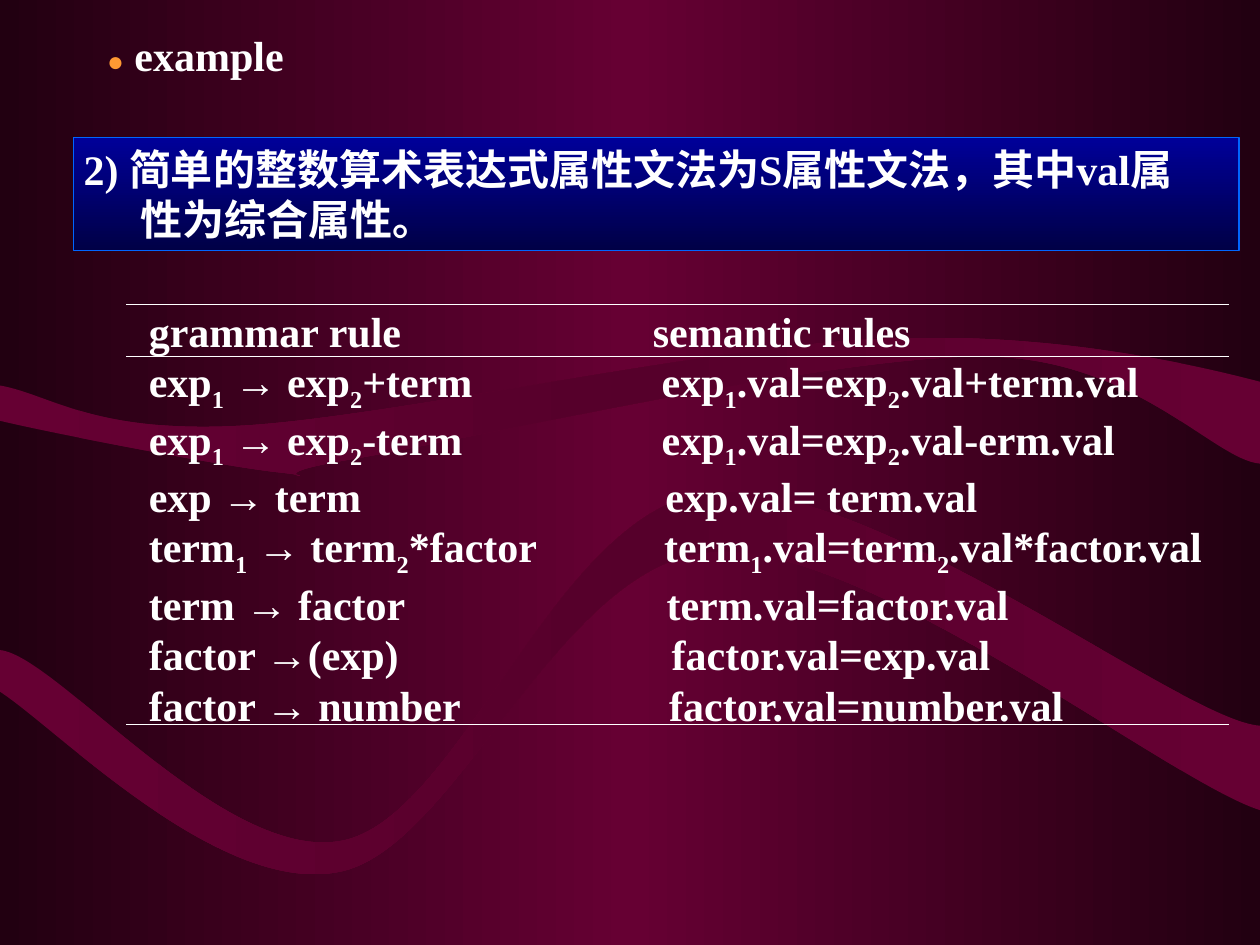
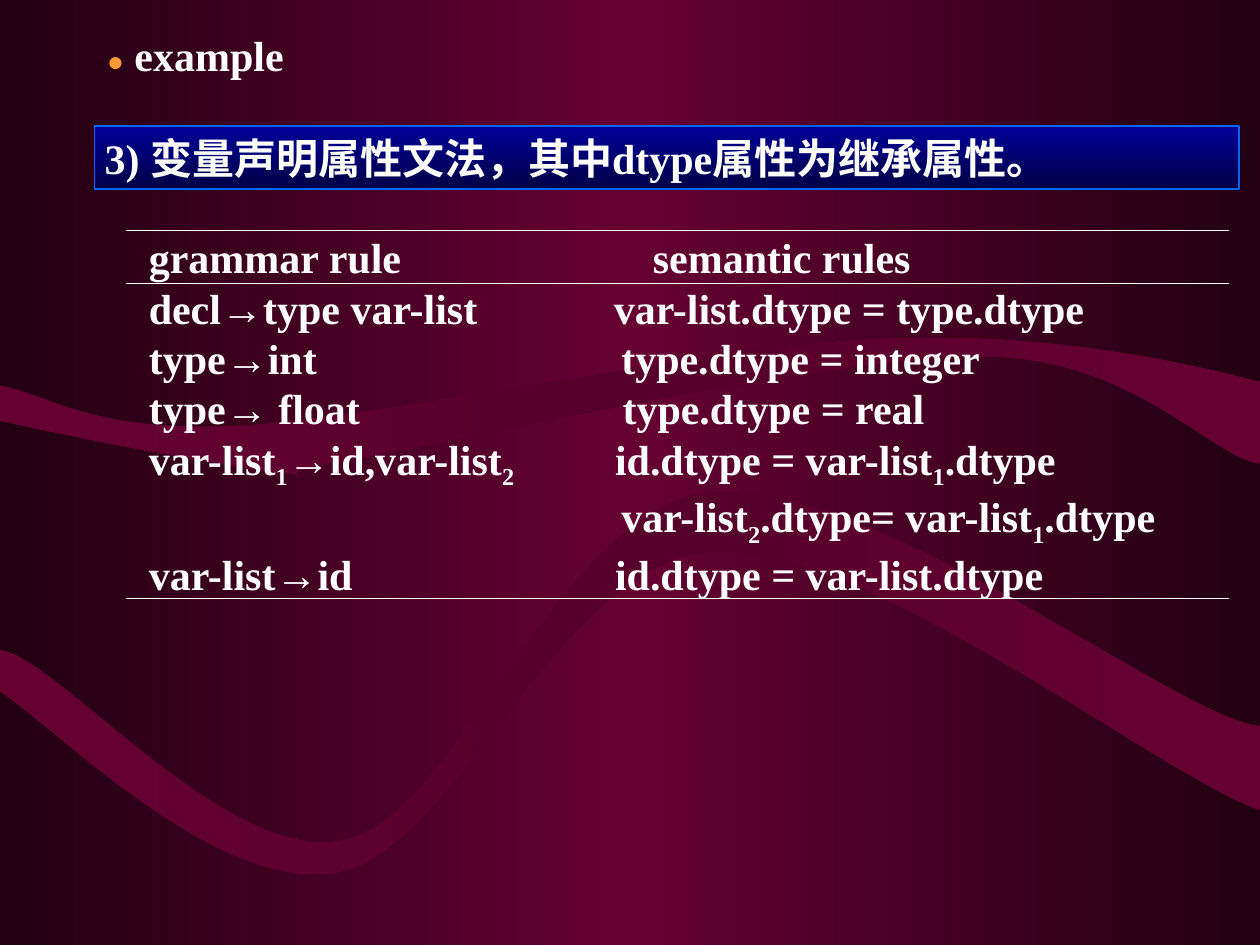
from copy import deepcopy
from itertools import groupby
from typing import NamedTuple

from lxml import etree
from pptx import Presentation
from pptx import util as u
from pptx.dml.color import RGBColor
from pptx.enum import shapes, text
from pptx.oxml.ns import qn

# Colours and fonts
DARK = RGBColor(0x22, 0x00, 0x11)
WINE = RGBColor(0x66, 0x00, 0x33)
PLUM = RGBColor(0x56, 0x00, 0x2B)
NAVY = RGBColor(0x00, 0x00, 0x99)
NIGHT = RGBColor(0x00, 0x00, 0x46)
BLUE = RGBColor(0x00, 0x66, 0xFF)
GOLD = RGBColor(0xFF, 0x99, 0x33)
WHITE = RGBColor(0xFF, 0xFF, 0xFF)
SERIF, SANS = "Times New Roman", "Arial"

WIDE, HIGH = u.Inches(10), u.Inches(7.5)


class Area(NamedTuple):
    """A box in percent of the slide."""
    left: float
    top: float
    wide: float
    high: float

    def place(self) -> tuple[int, int, int, int]:
        return (across(self.left), down(self.top),
                across(self.wide), down(self.high))


class Banner(NamedTuple):
    area: Area
    words: str


class Row(NamedTuple):
    tab: float  # start of the second column, in inches
    words: str


class Rules(NamedTuple):
    area: Area
    lines: tuple[float, ...]  # heights of the rules, in percent
    rows: list[Row]


class Page(NamedTuple):
    banner: Banner
    rules: Rules


HEAD = Area(7.5, 2.2, 85, 5.6)
HEADER = Row(4, "grammar rule\tsemantic rules")

# Master ribbons in inches: pairs are lines, sixes are curves
RIBBONS = [
    [(0, 3.06), (0, 3.34), (0.37, 3.43, 1.75, 3.7, 2.22, 3.75),
     (2.69, 3.8, 1.9, 3.79, 2.82, 3.64), (3.75, 3.48, 6.6, 2.82, 7.8, 2.83),
     (9, 2.83, 9.63, 3.65, 10, 3.68), (10, 3.03),
     (9.5, 2.9, 8.36, 2.63, 7.01, 2.69), (5.66, 2.74, 3.07, 3.32, 1.9, 3.38),
     (0.73, 3.44, 0.4, 3.13, 0, 3.06)],
    [(0, 5.16), (0, 5.49), (0.45, 5.78, 1.74, 7.11, 2.69, 6.92),
     (3.63, 6.74, 4.43, 4.46, 5.65, 4.38), (6.87, 4.29, 9.27, 6.2, 10, 6.43),
     (10, 5.76), (9.38, 5.72, 6.91, 3.77, 5.62, 3.91),
     (4.41, 4.06, 3.67, 6.46, 2.73, 6.67), (1.79, 6.87, 0.45, 5.2, 0, 5.16)],
]

PAGES = [
    Page(
        Banner(Area(5.83, 14.53, 92.5, 12),
               "2) 简单的整数算术表达式属性文法为S属性文法，其中val属性为综合属性。"),
        Rules(Area(10.83, 31.67, 88.33, 46.27), (32.2, 37.75, 76.67), [
            Row(4.07, "exp1 → exp2+term\texp1.val=exp2.val+term.val"),
            Row(4.07, "exp1 → exp2-term\texp1.val=exp2.val-erm.val"),
            Row(4.1, "exp → term\texp.val= term.val"),
            Row(4.09, "term1 → term2*factor\tterm1.val=term2.val*factor.val"),
            Row(4.11, "term → factor\tterm.val=factor.val"),
            Row(4.15, "factor →(exp)\tfactor.val=exp.val"),
            Row(4.13, "factor → number\tfactor.val=number.val"),
        ])),
    Page(
        Banner(Area(7.5, 13.33, 90.83, 6.67),
               "3) 变量声明属性文法，其中dtype属性为继承属性。"),
        Rules(Area(10.83, 23.87, 88.33, 40.13), (24.4, 30, 63.33), [
            Row(3.69, "decl→type var-list\tvar-list.dtype = type.dtype"),
            Row(3.75, "type→int\ttype.dtype = integer"),
            Row(3.76, "type→ float\ttype.dtype = real"),
            Row(3.7, "var-list1→id,var-list2\tid.dtype = var-list1.dtype"),
            Row(3.75, "\tvar-list2.dtype= var-list1.dtype"),
            Row(3.7, "var-list→id\tid.dtype = var-list.dtype"),
        ])),
]


def across(part: float) -> int:
    return round(WIDE * part / 100)


def down(part: float) -> int:
    return round(HIGH * part / 100)


def shade(fill, angle: float, *tones: RGBColor) -> None:
    """Fill with evenly spaced gradient stops."""
    fill.gradient()
    fill.gradient_angle = angle
    first = fill.gradient_stops[0]._gs
    for _ in tones[2:]:
        first.addnext(deepcopy(first))
    for i, (stop, tone) in enumerate(zip(fill.gradient_stops, tones)):
        stop.color.rgb = tone
        stop.position = i / (len(tones) - 1)


def style(font) -> None:
    font.name, font.size, font.bold = SERIF, u.Pt(24), True
    font.color.rgb = WHITE


def add_tab(para, inch: float) -> None:
    tabs = etree.SubElement(para._p.get_or_add_pPr(), qn("a:tabLst"))
    etree.SubElement(tabs, qn("a:tab"), pos=str(u.Inches(inch)), algn="l")


def add_ribbon(slide, parts: list[tuple]):
    """Draw all points as lines, then fold each three into a curve."""
    dots = [(u.Inches(x), u.Inches(y))
            for part in parts for x, y in zip(part[::2], part[1::2])]
    pen = slide.shapes.build_freeform(*dots[0])
    pen.add_line_segments(dots[1:])
    ribbon = pen.convert_to_shape()
    lines = ribbon.element.iter(qn("a:lnTo"))
    lines = iter(list(lines))
    for part in parts[1:]:
        first = next(lines)
        if len(part) == 6:
            first.addprevious(curve := etree.Element(qn("a:cubicBezTo")))
            for line in (first, next(lines), next(lines)):
                curve.append(line[0])
                line.getparent().remove(line)
    ribbon.shadow.inherit = False
    ribbon.line.fill.background()
    shade(ribbon.fill, 180, WINE, PLUM, WINE)
    return ribbon


def dress(master, slide) -> None:
    """Give the master its background and ribbons, drawn by way of a slide."""
    shade(master.background.fill, 180, DARK, WINE, DARK)
    for spot, parts in enumerate(RIBBONS, 2):
        master.shapes.element.insert(spot, add_ribbon(slide, parts).element)


def add_title(slide) -> None:
    title = slide.shapes.title
    title.left, title.top, title.width, title.height = HEAD.place()
    frame = title.text_frame
    frame.auto_size = text.MSO_AUTO_SIZE.NONE
    frame.vertical_anchor = text.MSO_ANCHOR.MIDDLE
    para = frame.paragraphs[0]
    para.alignment, para.line_spacing = text.PP_ALIGN.LEFT, 1.3
    style(para.font)
    for words, size, tone in (("●", 16, GOLD), (" example", 24, WHITE)):
        run = para.add_run()
        run.text = words
        run.font.size = u.Pt(size)
        run.font.color.rgb = tone


def add_banner(slide, banner: Banner) -> None:
    box = slide.shapes.add_shape(shapes.MSO_SHAPE.RECTANGLE,
                                 *banner.area.place())
    box.shadow.inherit = False
    shade(box.fill, 270, NAVY, NIGHT)
    box.line.color.rgb, box.line.width = BLUE, u.Pt(0.75)
    frame = box.text_frame
    frame.word_wrap = True
    frame.margin_left, frame.margin_right = u.Inches(0.08), u.Inches(0.25)
    para = frame.paragraphs[0]
    para.alignment = text.PP_ALIGN.LEFT
    # Hanging number
    hang = u.Inches(0.45)
    props = para._p.get_or_add_pPr()
    props.set("marL", str(hang))
    props.set("indent", str(-hang))
    style(para.font)
    para.add_run().text = banner.words


def kind(char: str) -> str:
    return "sub" if char.isdigit() else "arrow" if char == "→" else "plain"


def add_rules(slide, rules: Rules) -> None:
    frame = slide.shapes.add_textbox(*rules.area.place()).text_frame
    frame.word_wrap = True
    for i, row in enumerate([HEADER, *rules.rows]):
        para = frame.add_paragraph() if i else frame.paragraphs[0]
        para.alignment = text.PP_ALIGN.JUSTIFY
        add_tab(para, row.tab)
        style(para.font)
        # Digits are subscripts, arrows use the sans font
        for sort, chars in groupby(row.words, kind):
            run = para.add_run()
            run.text = "".join(chars)
            if sort == "sub":
                run.font._element.set("baseline", "-25000")
            elif sort == "arrow":
                run.font.name = SANS
    for part in rules.lines:
        line = slide.shapes.add_connector(
            shapes.MSO_CONNECTOR.STRAIGHT,
            across(10), down(part), across(97.5), down(part))
        line.line.color.rgb, line.line.width = WHITE, u.Pt(0.75)
        etree.SubElement(line.element.spPr, qn("a:effectLst"))


def main() -> None:
    deck = Presentation()
    deck.slide_width, deck.slide_height = WIDE, HIGH
    for i, page in enumerate(PAGES):
        slide = deck.slides.add_slide(deck.slide_layouts[5])
        if i == 0:
            dress(deck.slide_master, slide)
        add_title(slide)
        add_banner(slide, page.banner)
        add_rules(slide, page.rules)
    deck.save("out.pptx")


if __name__ == "__main__":
    main()
